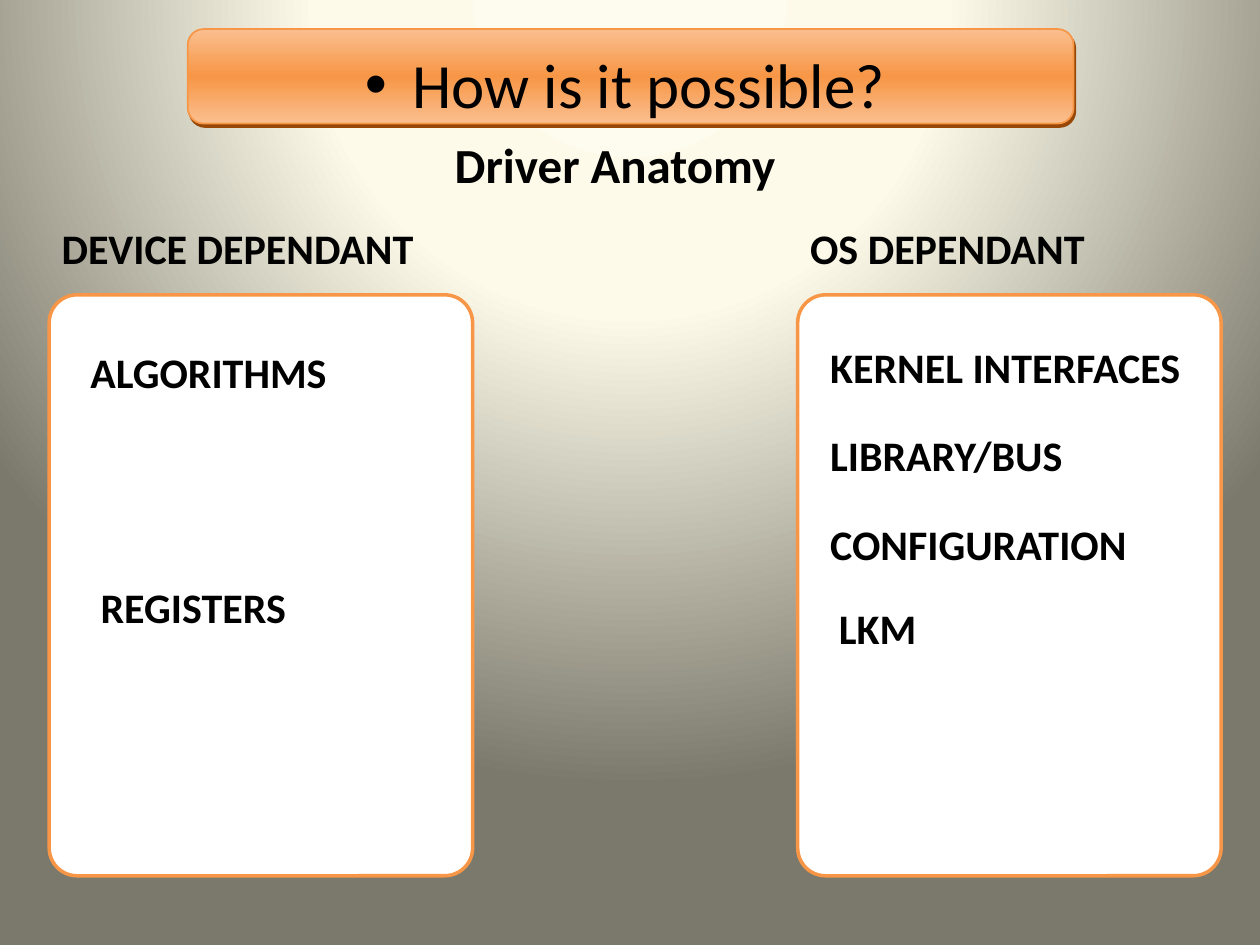
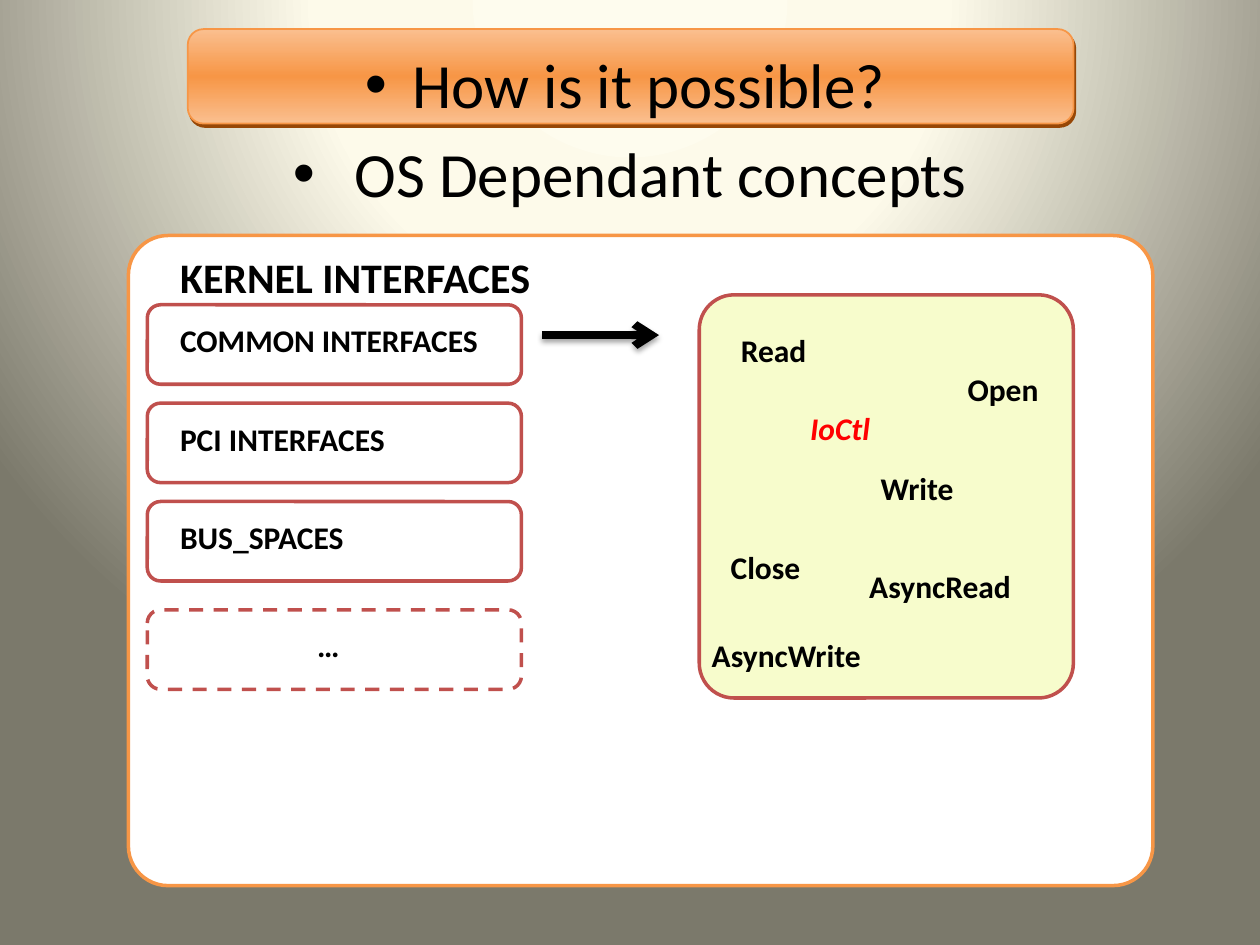
from lxml import etree
from pptx import Presentation
from pptx import util as u
from pptx.dml import color
from pptx.enum import dml, shapes, text
from pptx.oxml import ns

Pt = u.Pt
COLOURS = {
    "ink": "000000", "alert": "FF0000", "card": "FFFFFF", "list": "F7FCCC",
    "orange": "F79646", "peach": "FABF8F", "rust": "974706", "red": "C0504D",
    "cream": "FEFCEE", "ivory": "FDFAEA", "olive": "7B796B",
}
FONT = "Calibri"
HEADING, BODY, LARGE = 24, 18, 36


def rgb(name):
    return color.RGBColor.from_string(COLOURS[name])


def child(parent, tag, **attributes):
    values = {key: str(value) for key, value in attributes.items()}
    return etree.SubElement(parent, ns.qn("a:" + tag), values)


def gradient(fill, owner, stops):
    fill.gradient()
    grad = owner.find(".//" + ns.qn("a:gradFill"))
    for part in list(grad):
        grad.remove(part)
    stop_list = child(grad, "gsLst")
    for percent, name in stops:
        child(child(stop_list, "gs", pos=percent * 1000), "srgbClr", val=COLOURS[name])
    return grad


class Deck:
    def __init__(self):
        self.prs = Presentation()
        self.prs.slide_width, self.prs.slide_height = Pt(720), Pt(540)
        master = self.prs.slide_master
        glow = gradient(master.background.fill, master.element,
                        [(0, "cream"), (40, "ivory"), (100, "olive")])
        circle = child(glow, "path", path="circle")
        child(circle, "fillToRect", l=50000, t=-80000, r=50000, b=180000)

    def start(self, title, subtitle, place, size=LARGE, bold=False, bullet=True):
        self.slide = self.prs.slides.add_slide(self.prs.slide_layouts[1])
        self.banner()
        self.heading(self.slide.shapes.title, title, (112.3, 22.3, 489.6, 51.1))
        self.heading(self.slide.placeholders[1], subtitle, place, size, bold, bullet)

    def banner(self):
        band = self.box(107.3, 16.6, 506.2, 54, "card", "orange", 0.167, 1)
        grad = gradient(band.fill, band.element,
                        [(0, "peach"), (50, "orange"), (100, "peach")])
        child(grad, "lin", ang=90 * 60000, scaled=0)
        self.shadow(band, "rust", 100, 0, 2.2, 63)
        self.slide.shapes.element.insert(2, band.element)

    def heading(self, holder, words, place, size=LARGE, bold=False, bullet=True):
        holder.left, holder.top, holder.width, holder.height = map(Pt, place)
        paragraph = self.put_text(holder, words, size, bold)
        paragraph.alignment = text.PP_ALIGN.CENTER
        paragraph.space_before = Pt(0)
        props = paragraph._p.get_or_add_pPr()
        indent = Pt(27) if bullet else 0
        props.set("marL", str(indent))
        props.set("indent", str(-indent))
        if bullet:
            child(props, "buFont", typeface="Arial")
            child(props, "buChar", char="•")
        else:
            child(props, "buNone")

    def put_text(self, holder, words, size, bold=True, italic=False, ink="ink"):
        frame = holder.text_frame
        frame.word_wrap = True
        frame.auto_size = text.MSO_AUTO_SIZE.NONE
        frame.vertical_anchor = text.MSO_ANCHOR.TOP
        paragraph = frame.paragraphs[0]
        run = paragraph.add_run()
        run.text = words
        run.font.name, run.font.size = FONT, Pt(size)
        run.font.bold, run.font.italic = bold, italic
        run.font.color.rgb = rgb(ink)
        return paragraph

    def label(self, words, x, y, width=242, size=HEADING, **style):
        holder = self.slide.shapes.add_textbox(Pt(x), Pt(y), Pt(width), Pt(size * 1.5))
        self.put_text(holder, words, size, **style)

    def box(self, x, y, width, height, fill, line, corner=0.167, weight=2, dashed=False):
        card = self.slide.shapes.add_shape(
            shapes.MSO_SHAPE.ROUNDED_RECTANGLE, Pt(x), Pt(y), Pt(width), Pt(height))
        card.adjustments[0] = corner
        card.shadow.inherit = False
        card.fill.solid()
        card.fill.fore_color.rgb = rgb(fill)
        card.line.color.rgb = rgb(line)
        card.line.width = Pt(weight)
        if dashed:
            card.line.dash_style = dml.MSO_LINE.DASH
        return card

    def shadow(self, caster, name, opacity, blur, distance, angle):
        props = caster.element.spPr
        effects = props.find(ns.qn("a:effectLst"))
        if effects is None:
            effects = child(props, "effectLst")
        cast = child(effects, "outerShdw", blurRad=Pt(blur), dist=Pt(distance),
                     dir=angle * 60000, algn="ctr", rotWithShape=0)
        child(child(cast, "srgbClr", val=COLOURS[name]), "alpha", val=opacity * 1000)

    def arrow(self, x1, x2, y):
        link = self.slide.shapes.add_connector(
            shapes.MSO_CONNECTOR.STRAIGHT, Pt(x1), Pt(y), Pt(x2), Pt(y))
        link.line.color.rgb = rgb("ink")
        link.line.width = Pt(4.5)
        child(link.line._get_or_add_ln(), "tailEnd", type="arrow")
        self.shadow(link, "ink", 35, 3.1, 1.8, 90)


def driver_anatomy(deck):
    deck.start("How is it possible?", "Driver Anatomy", (146.2, 73.4, 410.4, 41),
               size=28, bold=True, bullet=False)
    for side, x in (("OS DEPENDANT", 455.8), ("DEVICE DEPENDANT", 28.1)):
        deck.label(side, x, 123.8)
        deck.box(x, 168.5, 242, 332, "card", "orange", 0.066)
    for row, concept in enumerate(("KERNEL INTERFACES", "LIBRARY/BUS", "CONFIGURATION")):
        deck.label(concept, 467.3, 191.5 + row * 50.5)
    deck.label("LKM", 472.3, 340.6)
    deck.label("ALGORITHMS", 44.6, 194.4)
    deck.label("REGISTERS", 50.4, 329)


def os_concepts(deck):
    deck.start("How is it possible?", " OS Dependant concepts", (0, 73.4, 720, 51.1))
    deck.box(73.4, 134.6, 585.4, 371.5, "card", "orange", 0.061)
    deck.label("KERNEL INTERFACES", 95.8, 140.4)

    interfaces = ("COMMON INTERFACES", "PCI INTERFACES", "BUS_SPACES")
    for row, interface in enumerate(interfaces):
        y = 174.2 + row * 56.2
        deck.box(84.2, y, 213.8, 45.4, "card", "red")
        deck.label(interface, 95.8, y + 5.8, 202, BODY)
    deck.box(84.2, 348.5, 213.8, 45.4, "card", "red", dashed=True)
    deck.label("…", 174.2, 354.3, 39.6, BODY)

    deck.box(399.6, 168.5, 213.8, 230.4, "list", "red", 0.093)
    deck.arrow(309.6, 376.6, 191.5)
    calls = (("Open", 545.8, 208.1), ("Read", 416.2, 185.8), ("Write", 496.1, 264.2),
             ("Close", 410.4, 309.6), ("AsyncRead", 489.6, 320.4),
             ("AsyncWrite", 399.6, 360))
    for call, x, y in calls:
        deck.label(call, x, y, 112 if call.startswith("Async") else 61.2, BODY)
    deck.label("IoCtl", 455.8, 230.4, 61.2, BODY, italic=True, ink="alert")


def main():
    deck = Deck()
    driver_anatomy(deck)
    os_concepts(deck)
    deck.prs.save("out.pptx")


if __name__ == "__main__":
    main()
